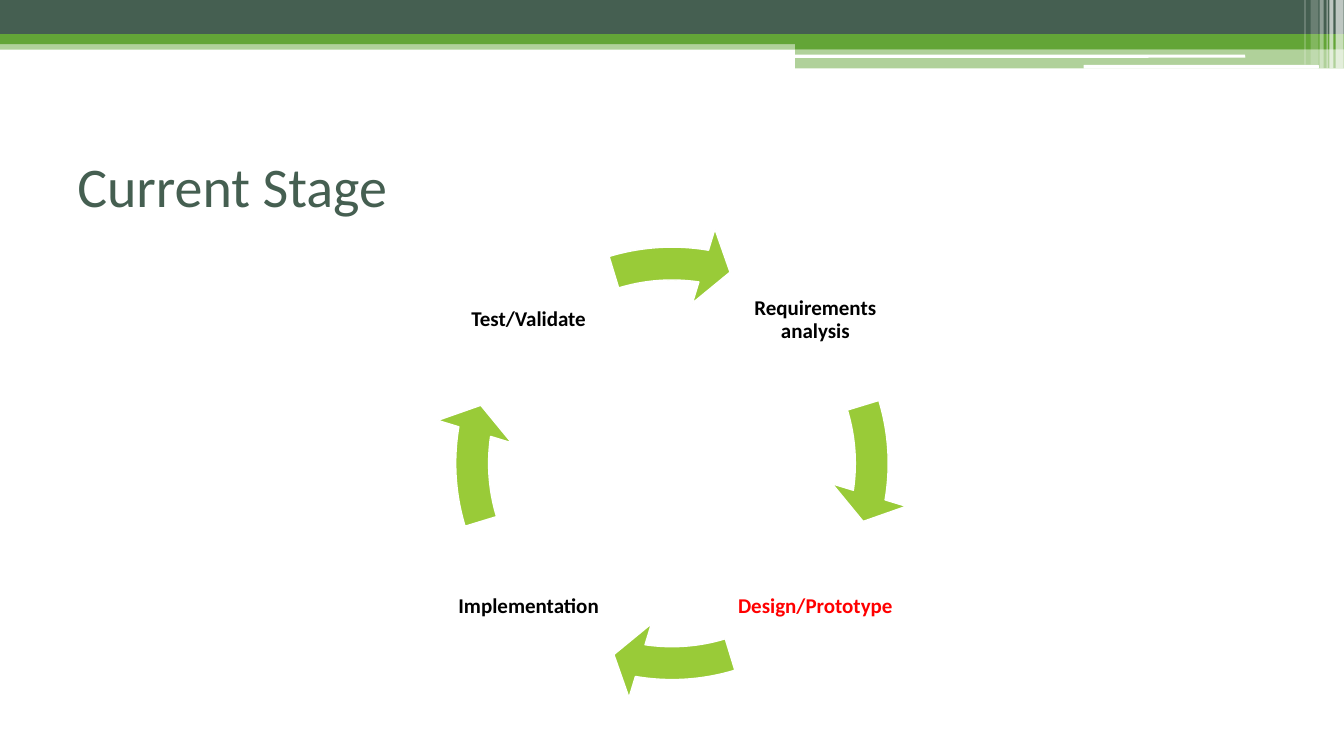
"""Build the Current Stage slide: a four-step development cycle."""
from lxml import etree
from pptx import Presentation
from pptx.dml.color import RGBColor
from pptx.enum import shapes as sh, text as tx
from pptx.oxml.ns import qn
from pptx.util import Pt

HUES = {"dark": "455F51", "green": "63A537", "lime": "99CB38",
        "white": "FFFFFF", "black": "000000", "red": "FF0000"}
FONT = "Calibri"
TITLE = "Current Stage"
STAGES = [("Requirements analysis", "black", 1, -1),
          ("Design/Prototype", "red", 1, 1),
          ("Implementation", "black", -1, 1),
          ("Test/Validate", "black", -1, -1)]
BANDS = [("rect", 0, 28.8, 960, 6.6, "green", 50),
         ("rect", 0, 0, 960, 24.4, "dark", 100),
         ("rect", 0, 24.4, 960, 7.2, "green", 100),
         ("rect", 568, 28, 392, 7.2, "green", 100),
         ("rect", 568, 35.2, 392, 13.6, "green", 50),
         ("round", 567.5, 39.1, 322, 2.2, "white", 100),
         ("round", 774, 46.4, 168, 2.6, "white", 100)]
STRIPES = [(954, 5.8, 48.8, 65), (949.6, 2.9, 48.8, 65), (947.6, 0.8, 48.8, 60),
           (942.6, 2.8, 48.8, 40), (936.2, 5.6, 46.2, 20), (931.8, 0.8, 46.2, 30)]
BANDS += [("rect", x, 0, w, h, "white", op) for x, w, h, op in STRIPES]
KINDS = {"rect": sh.MSO_SHAPE.RECTANGLE, "round": sh.MSO_SHAPE.ROUNDED_RECTANGLE}
MID_X, MID_Y, REACH, BOX, RING = 480, 331, 102.4, 121, 340.6
DEGREE = 0.6
HEAD, TAIL, TIP = 9.14, 343.1, 7.76


def tint(name):
    return RGBColor.from_string(HUES[name])


def paint(shape, hue, op=100):
    shape.shadow.inherit = False
    shape.fill.solid()
    shape.fill.fore_color.rgb = tint(hue)
    if op < 100:
        clr = shape.fill._xPr.find(qn("a:solidFill"))[0]
        etree.SubElement(clr, qn("a:alpha")).set("val", str(op * 1000))


def style(para, size, hue, bold, align):
    para.alignment = align
    font = para.font
    font.name, font.size, font.bold = FONT, Pt(size), bold
    font.color.rgb = tint(hue)


def place(x, y, w, h):
    return Pt(x), Pt(y), Pt(w), Pt(h)


deck = Presentation()
deck.slide_width, deck.slide_height = Pt(960), Pt(540)
slide = deck.slides.add_slide(deck.slide_layouts[5])
parts = slide.shapes

for kind, x, y, w, h, hue, op in BANDS:
    band = parts.add_shape(KINDS[kind], *place(x, y, w, h))
    paint(band, hue, op)
    band.line.fill.background()

title = parts.title
title.left, title.top, title.width, title.height = place(48, 90, 864, 84)
title.text_frame.text = TITLE
title.text_frame.vertical_anchor = tx.MSO_ANCHOR.MIDDLE
style(title.text_frame.paragraphs[0], 40, "dark", False, tx.PP_ALIGN.LEFT)

for step, (name, hue, dx, dy) in enumerate(STAGES):
    label = parts.add_textbox(*place(MID_X + dx * REACH - BOX / 2,
                                     MID_Y + dy * REACH - BOX / 2, BOX, BOX))
    frame = label.text_frame
    frame.word_wrap = True
    frame.vertical_anchor = tx.MSO_ANCHOR.MIDDLE
    frame.margin_left = frame.margin_right = Pt(1.5)
    frame.margin_top = frame.margin_bottom = Pt(1.5)
    frame.text = name
    style(frame.paragraphs[0], 15, hue, True, tx.PP_ALIGN.CENTER)
    frame.paragraphs[0].line_spacing = 0.9

    arrow = parts.add_shape(sh.MSO_SHAPE.CIRCULAR_ARROW, *place(
        MID_X - RING / 2, MID_Y - RING / 2, RING, RING))
    turn = step * 90
    angles = (TIP, (HEAD + turn) % 360, (TAIL + turn) % 360)
    bends = [0.069, *(deg * DEGREE for deg in angles), 0.081]
    for i, bend in enumerate(bends):
        arrow.adjustments[i] = bend
    paint(arrow, "lime")
    arrow.line.color.rgb = tint("white")
    arrow.line.width = Pt(1)

deck.save("out.pptx")
